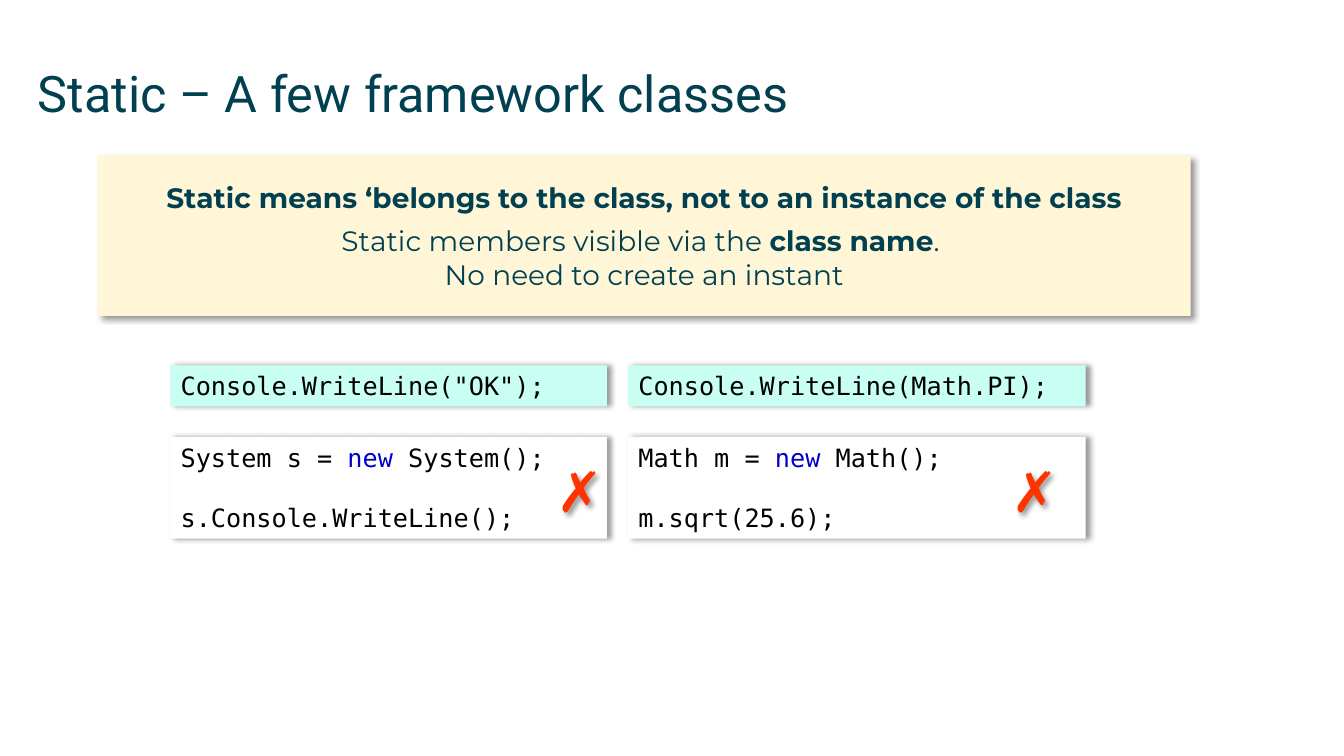
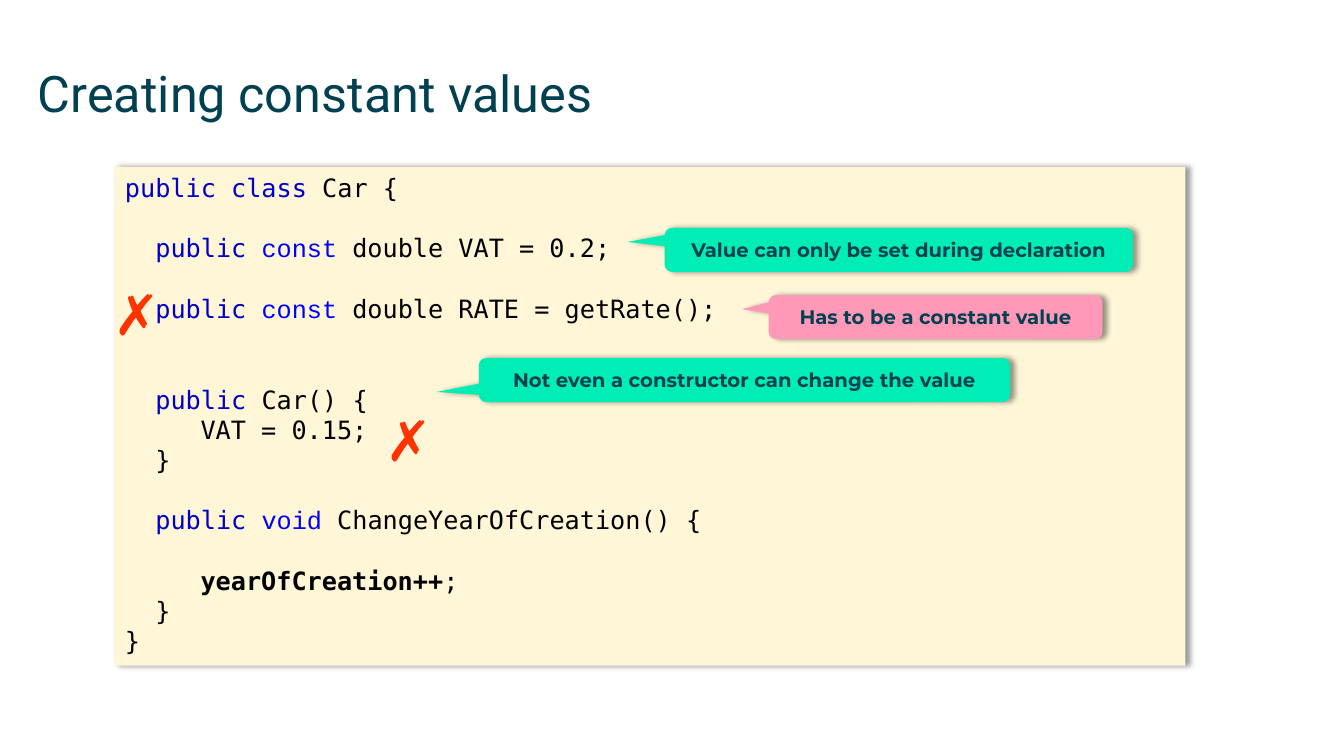
"""Build two slides on static members and constant values."""
import pptx
import pptx.dml.color
import pptx.enum.shapes
import pptx.enum.text
import pptx.oxml
import pptx.oxml.ns
import pptx.util

PX = 9525
C = {
    "ink": "004050", "code": "000000", "keyword": "0000C8", "modifier": "0000FF",
    "cross": "FF3300", "cream": "FEF6D7", "mint": "C8FFF2", "white": "FFFFFF",
    "green": "00EDB5", "pink": "FF99B7",
}
STYLES = {
    "title": ("Roboto", 36, "ink", False),
    "body": ("Montserrat", 20, "ink", False),
    "strong": ("Montserrat", 20, "ink", True),
    "callout": ("Montserrat", 14, "ink", True),
    "code": ("DejaVu Sans Mono", 18, "code", False),
    "bold_code": ("DejaVu Sans Mono", 18, "code", True),
    "keyword": ("DejaVu Sans Mono", 18, "keyword", False),
    "modifier": ("Courier New", 18, "modifier", False),
    "cross": ("Arial", 40, "cross", False),
}
CODE_LINE = 21.6
MEMBER, BODY = 29, 72
SHAPE = pptx.enum.shapes.MSO_SHAPE
MIDDLE = pptx.enum.text.MSO_ANCHOR.MIDDLE
CENTER = pptx.enum.text.PP_ALIGN.CENTER


def emu(*lengths):
    return [pptx.util.Emu(n * PX) for n in lengths]


def add_shadow(s, angle=0):
    s.shadow.inherit = False
    effects = s._element.spPr.find(pptx.oxml.ns.qn("a:effectLst"))
    effects.append(pptx.oxml.parse_xml(
        f'<a:outerShdw {pptx.oxml.ns.nsdecls("a")} blurRad="50800" dist="38100" '
        f'dir="{angle * 60000}" algn="tl" rotWithShape="0"><a:srgbClr val="000000">'
        '<a:alpha val="40000"/></a:srgbClr></a:outerShdw>'))


def set_frame(s, margins=(10, 5), anchor=pptx.enum.text.MSO_ANCHOR.TOP):
    tf = s.text_frame
    tf.word_wrap = True
    tf.vertical_anchor = anchor
    tf.margin_left, tf.margin_top = emu(*margins)
    tf.margin_right, tf.margin_bottom = emu(*margins)
    return tf


def write(tf, paragraphs, align=pptx.enum.text.PP_ALIGN.LEFT):
    for i, runs in enumerate(paragraphs):
        p = tf.add_paragraph() if i else tf.paragraphs[0]
        p.alignment = align
        for text, style in runs:
            r = p.add_run()
            r.text = text
            r.font.name, size, color, r.font.bold = STYLES[style]
            r.font.size = pptx.util.Pt(size)
            r.font.color.rgb = pptx.dml.color.RGBColor.from_string(C[color])


def add_panel(slide, box, color, kind=SHAPE.RECTANGLE, angle=0):
    s = slide.shapes.add_shape(kind, *emu(*box))
    s.fill.solid()
    s.fill.fore_color.rgb = pptx.dml.color.RGBColor.from_string(C[color])
    s.line.fill.background()
    add_shadow(s, angle)
    return s


def add_title(slide, text):
    s = slide.shapes.add_textbox(*emu(36, 59, 1210, 84))
    write(set_frame(s, (0, 0)), [[(text, "title")]])


def add_code(slide, box, color, lines):
    tf = set_frame(add_panel(slide, box, color))
    write(tf, [runs for _, _, runs in lines])
    for p, (indent, gap, _) in zip(tf.paragraphs, lines):
        p.space_before = pptx.util.Pt(gap * CODE_LINE)
        pPr = p._p.get_or_add_pPr()
        pPr.set("marL", str(indent * PX))
        pPr.set("indent", "0")


def add_callout(slide, box, color, tip, text):
    s = add_panel(slide, box, color, SHAPE.ROUNDED_RECTANGULAR_CALLOUT)
    s.adjustments[0], s.adjustments[1] = tip
    write(set_frame(s, anchor=MIDDLE), [[(text, "callout")]], CENTER)


def add_cross(slide, left, top, shadow=False):
    s = slide.shapes.add_textbox(*emu(left, top, 50, 73))
    write(set_frame(s), [[("✗", "cross")]])
    if shadow:
        add_shadow(s, 45)


def static_slide(slide):
    add_title(slide, "Static – A few framework classes")
    tf = set_frame(add_panel(slide, (93, 148, 1041, 153), "cream", angle=45), (0, 0), MIDDLE)
    write(tf, [
        [("Static means ‘belongs to the class, not to an instance of the class", "strong")],
        [("Static members visible via the ", "body"), ("class name", "strong"), (". ", "body")],
        [("No need to create an instant", "body")],
    ], CENTER)
    tf.paragraphs[0].space_after = pptx.util.Pt(6.5)
    columns = [
        (162, 416, 520, 'Console.WriteLine("OK");',
         "System s = ", " System();", "s.Console.WriteLine();"),
        (598, 436, 953, "Console.WriteLine(Math.PI);",
         "Math m = ", " Math();", "m.sqrt(25.6);"),
    ]
    for left, width, cross, valid, before, after, call in columns:
        add_code(slide, (left, 348, width, 39), "mint", [(0, 0, [(valid, "code")])])
        add_code(slide, (left, 416, width, 97), "white", [
            (0, 0, [(before, "code"), ("new", "keyword"), (after, "code")]),
            (0, 1, [(call, "code")]),
        ])
        add_cross(slide, cross, 430, shadow=True)


def constants_slide(slide):
    add_title(slide, "Creating constant values")
    public = ("public ", "keyword")
    const = ("const ", "modifier")
    add_code(slide, (109, 159, 1020, 475), "cream", [
        (0, 0, [("public class", "keyword"), (" Car {", "code")]),
        (MEMBER, 1, [public, const, ("double VAT = 0.2;", "code")]),
        (MEMBER, 1, [public, const, ("double RATE = getRate();", "code")]),
        (MEMBER, 2, [public, ("Car() {", "code")]),
        (BODY, 0, [("VAT = 0.15;", "code")]),
        (MEMBER, 0, [("}", "code")]),
        (MEMBER, 1, [public, ("void ", "modifier"), ("ChangeYearOfCreation() {", "code")]),
        (BODY, 1, [("yearOfCreation++", "bold_code"), (";", "code")]),
        (MEMBER, 0, [("}", "code")]),
        (0, 0, [("}", "code")]),
    ])
    add_callout(slide, (456, 341, 506, 42), "green", (-0.58, 0.27),
                "Not even a constructor can change the value")
    add_callout(slide, (633, 217, 446, 42), "green", (-0.58, -0.18),
                "Value can only be set during declaration")
    add_callout(slide, (732, 281, 318, 42), "pink", (-0.58, -0.18),
                "Has to be a constant value")
    add_cross(slide, 357, 381)
    add_cross(slide, 98, 261)


def main():
    prs = pptx.Presentation()
    prs.slide_width, prs.slide_height = emu(1280, 720)
    for build in (static_slide, constants_slide):
        build(prs.slides.add_slide(prs.slide_layouts[6]))
    prs.save("out.pptx")


if __name__ == "__main__":
    main()
